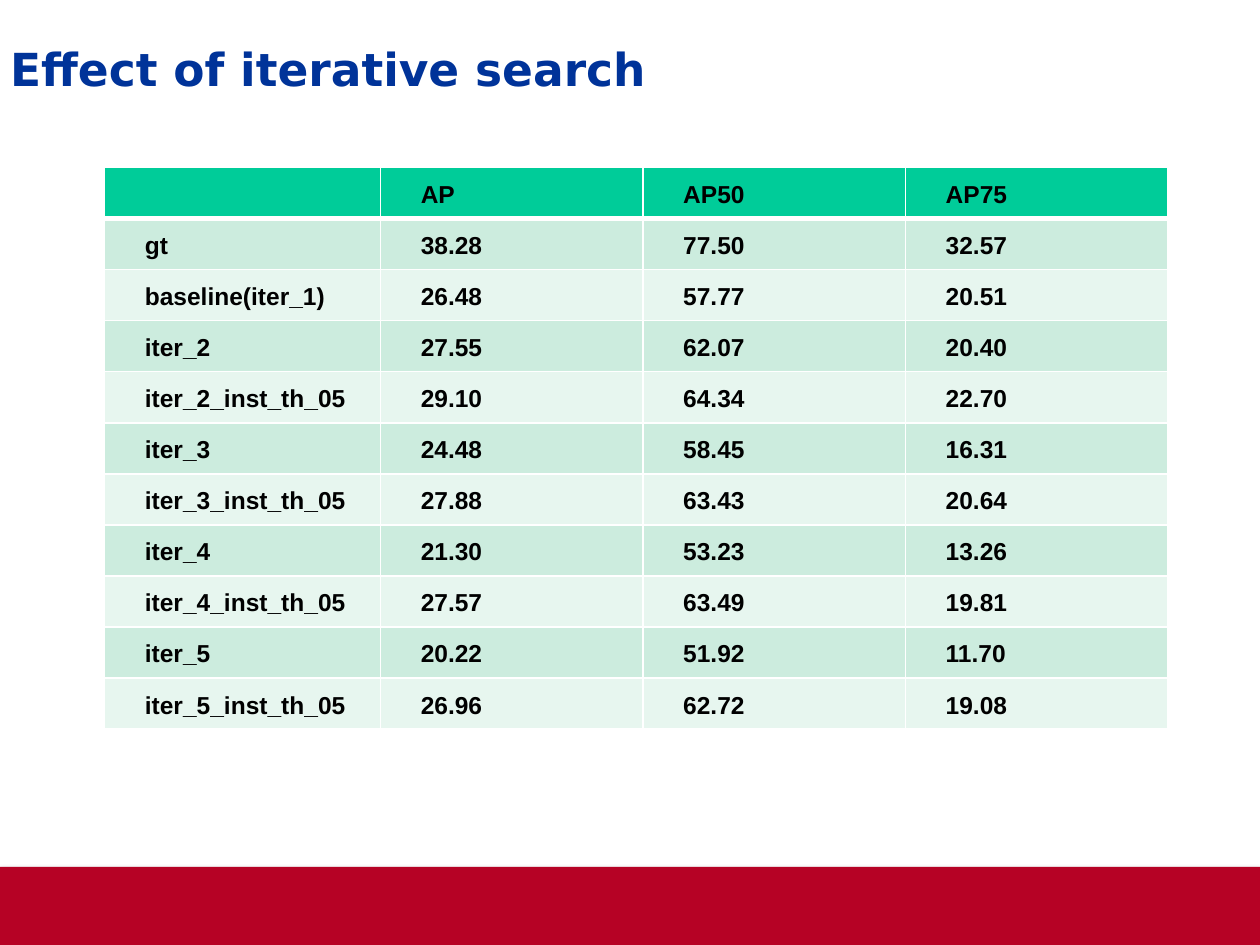
from lxml import etree
from pptx import Presentation
from pptx.dml.color import RGBColor
from pptx.enum.shapes import MSO_SHAPE as SHAPE
from pptx.enum.text import MSO_ANCHOR as ANCHOR, MSO_AUTO_SIZE as AUTO_SIZE, PP_ALIGN as ALIGN
from pptx.oxml import parse_xml
from pptx.oxml.ns import nsdecls, qn
from pptx.util import Inches, Pt

RED = RGBColor(0xB6, 0x02, 0x25)
BLUE = RGBColor(0x00, 0x33, 0x99)
BLACK = RGBColor(0x00, 0x00, 0x00)
WHITE = RGBColor(0xFF, 0xFF, 0xFF)
GREEN = RGBColor(0x00, 0xCC, 0x99)
BANDS = (RGBColor(0xCC, 0xEC, 0xDE), RGBColor(0xE7, 0xF6, 0xEF))

RESULTS = [
    ("", "AP", "AP50", "AP75"),
    ("gt", "38.28", "77.50", "32.57"),
    ("baseline(iter_1)", "26.48", "57.77", "20.51"),
    ("iter_2", "27.55", "62.07", "20.40"),
    ("iter_2_inst_th_05", "29.10", "64.34", "22.70"),
    ("iter_3", "24.48", "58.45", "16.31"),
    ("iter_3_inst_th_05", "27.88", "63.43", "20.64"),
    ("iter_4", "21.30", "53.23", "13.26"),
    ("iter_4_inst_th_05", "27.57", "63.49", "19.81"),
    ("iter_5", "20.22", "51.92", "11.70"),
    ("iter_5_inst_th_05", "26.96", "62.72", "19.08"),
]


def add_footer_bar(slide, left, top, width, height):
    sp = slide.shapes.add_shape(SHAPE.RECTANGLE, left, top, width, height)
    sp.fill.solid()
    sp.fill.fore_color.rgb = RED
    sp.line.fill.background()
    # Soft shadow straight below
    sp._element.spPr.append(parse_xml(
        f'<a:effectLst {nsdecls("a")}>'
        f'<a:outerShdw blurRad="{Pt(3.1)}" dist="{Pt(1.8)}" dir="5400000" rotWithShape="0">'
        '<a:srgbClr val="000000"><a:alpha val="35000"/></a:srgbClr>'
        '</a:outerShdw></a:effectLst>'))


def fill_title(slide, text, left, top, width, height):
    title = slide.shapes.title
    title.left, title.top, title.width, title.height = left, top, width, height
    tf = title.text_frame
    tf.text = text
    tf.auto_size = AUTO_SIZE.NONE
    tf.vertical_anchor = ANCHOR.MIDDLE
    tf.margin_left = tf.margin_top = 0
    tf.margin_right, tf.margin_bottom = Inches(0.1), Inches(0.05)
    p = tf.paragraphs[0]
    p.alignment = ALIGN.LEFT
    p.line_spacing = 0.95
    p.font.name, p.font.size, p.font.bold = "DejaVu Sans", Pt(26), True
    p.font.color.rgb = BLUE


def set_borders(cell, bottom):
    tcPr = cell._tc.get_or_add_tcPr()
    for side, points in (("L", 1), ("R", 1), ("T", 1), ("B", bottom)):
        ln = etree.SubElement(tcPr, qn(f"a:ln{side}"), w=str(Pt(points)))
        fill = etree.SubElement(ln, qn("a:solidFill"))
        etree.SubElement(fill, qn("a:srgbClr"), val=str(WHITE))


def style_cell(cell, text, fill, bottom):
    set_borders(cell, bottom)
    cell.fill.solid()
    cell.fill.fore_color.rgb = fill
    cell.margin_left = cell.margin_right = Inches(0.07)
    cell.margin_top = cell.margin_bottom = 0
    p = cell.text_frame.paragraphs[0]
    p.text = text
    p.alignment = ALIGN.JUSTIFY
    p.line_spacing = 1.5
    pPr = p._p.get_or_add_pPr()
    pPr.set("marL", str(Inches(0.25)))
    pPr.set("indent", "0")
    p.font.name, p.font.size, p.font.bold = "Arial", Pt(14), True
    p.font.color.rgb = BLACK


def add_results_table(slide, rows, left, top, width, height):
    table = slide.shapes.add_table(len(rows), len(rows[0]), left, top, width, height).table
    # Wider label column, equal score columns
    label_width = Inches(2.19)
    score_width = (width - label_width) // (len(rows[0]) - 1)
    for i, column in enumerate(table.columns):
        column.width = score_width if i else label_width
    for i, row in enumerate(rows):
        # Header above alternating bands
        fill, bottom = (BANDS[(i - 1) % 2], 1) if i else (GREEN, 3)
        for j, text in enumerate(row):
            # The header's thick rule is shared with the first band
            style_cell(table.cell(i, j), text, fill, bottom)
            if i == 1:
                table.cell(i, j)._tc.tcPr.find(qn("a:lnT")).set("w", str(Pt(3)))


def main():
    prs = Presentation()
    prs.slide_width, prs.slide_height = Inches(10), Inches(7.5)
    slide = prs.slides.add_slide(prs.slide_layouts[5])
    add_footer_bar(slide, 0, Inches(6.88), prs.slide_width, Inches(0.63))
    fill_title(slide, "Effect of iterative search",
               Inches(0.08), Inches(0.19), Inches(9.77), Inches(0.79))
    add_results_table(slide, RESULTS, Inches(0.83), Inches(1.33), Inches(8.44), Inches(4.46))
    prs.save("out.pptx")


if __name__ == "__main__":
    main()
